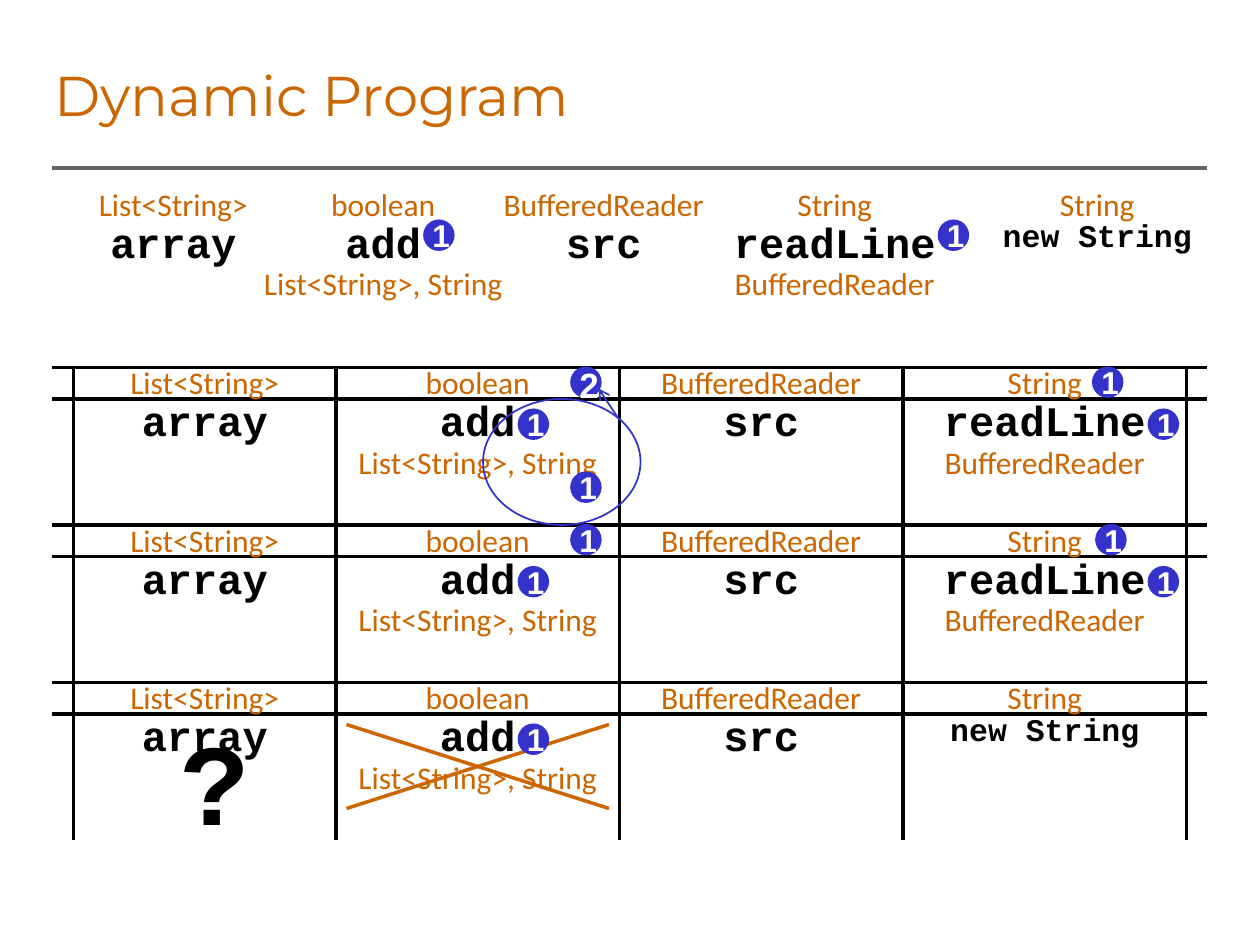
"""Build the Dynamic Program slide on a grid of 120 columns by 90 rows."""
from lxml import etree
from pptx import Presentation
from pptx import util as u
from pptx.dml.color import RGBColor
from pptx.enum import shapes, text
from pptx.oxml import ns

deck = Presentation()
deck.slide_width, deck.slide_height = u.Inches(10), u.Inches(7.5)
page = deck.slides.add_slide(deck.slide_layouts[6]).shapes
unit = deck.slide_width / 120
rust, blue, black = "CC6600", "3333CC", "000000"
hue = RGBColor.from_string


def grid(*spots):
    return [round(spot * unit) for spot in spots]


def write(words, *place, size=18, font="Calibri", color=rust, bold=False,
          align="CENTER", wrap=True, anchor="TOP", grow=True):
    frame = page.add_textbox(*grid(*place)).text_frame
    frame.word_wrap = wrap
    frame.vertical_anchor = text.MSO_ANCHOR[anchor]
    if grow:
        frame.auto_size = text.MSO_AUTO_SIZE.SHAPE_TO_FIT_TEXT
    para = frame.paragraphs[0]
    para.alignment = text.PP_ALIGN[align]
    run = para.add_run()
    run.text = words
    run.font.size, run.font.name, run.font.bold = u.Pt(size), font, bold
    run.font.color.rgb = hue(color)


cols, rows = [6, 32, 59, 86], [35, 50, 65]
rules = [(5, 16, 115, 16, "666666", 2)]
for row in rows:
    rules += [(x, row, x, row + 15, black, 2) for x in (7, 32, 59, 86, 113)]
    rules += [(5, y, 115, y, black, 2) for y in (row, row + 3)]
rules += [(33, 69, 58, 77, rust, 2), (33, 77, 58, 69, rust, 2)]
rules.append((59, 40, 57, 37, blue, 1))
for *ends, color, width in rules:
    line = page.add_connector(shapes.MSO_CONNECTOR.STRAIGHT, *grid(*ends))
    line.line.color.rgb, line.line.width = hue(color), u.Pt(width)
    etree.SubElement(line._element.spPr, ns.qn("a:effectLst"))
etree.SubElement(line.line._get_or_add_ln(), ns.qn("a:tailEnd"), type="arrow")

write("Dynamic Program", 4, 5, 97, 8, size=32, font="Montserrat",
      align="LEFT", anchor="MIDDLE", grow=False)

array = ("List<String>", "array", "")
add = ("boolean", "add", "List<String>, String")
src = ("BufferedReader", "src", "")
read = ("String", "readLine", "BufferedReader")
new = ("String", "new String", "")
items = list(zip([3, 23, 44, 66, 91], [17] * 5, [array, add, src, read, new]))
for row, last in zip(rows, [read, read, new]):
    items += [(x, row - 1, item) for x, item in zip(cols, [array, add, src, last])]
for x, y, (kind, name, args) in items:
    size, high = (18, 4.8) if name == "new String" else (24, 6)
    write(kind, x, y, 27, 4.8)
    write(name, x, y + 3, 27, high, size=size, font="Courier New", color=black, bold=True)
    if args:
        write(args, x, y + 7.6, 27, 4.8)
write("?", 16, 67, 8, 14.5, size=66, font="Courier New", color=black, bold=True)

discs = [(46, 38, 15, 12, "")]
spots = [(89, 20), (40, 20), (49, 38), (49, 53), (49, 68), (109, 38), (109, 53),
         (54, 44), (54, 49), (104, 49), (103.7, 34)]
discs += [(x + 0.3, y + 0.9, 3, 3, "1") for x, y in spots]
discs.append((54.3, 34.9, 3, 3, "2"))
for x, y, wide, high, cost in discs:
    disc = page.add_shape(shapes.MSO_SHAPE.OVAL, *grid(x, y, wide, high))
    disc.shadow.inherit = False
    if not cost:
        disc.fill.background()
        disc.line.color.rgb, disc.line.width = hue(blue), u.Pt(1)
        continue
    disc.fill.solid()
    disc.fill.fore_color.rgb = hue(blue)
    disc.line.fill.background()
    size, wide, high = (20, 4.1, 5.3) if cost == "2" else (18, 3.2, 4.8)
    write(cost, x - 0.3, y - 0.9, wide, high, size=size, font="Arial",
          color="FFFFFF", bold=True, align="LEFT", wrap=False)

deck.save("out.pptx")
